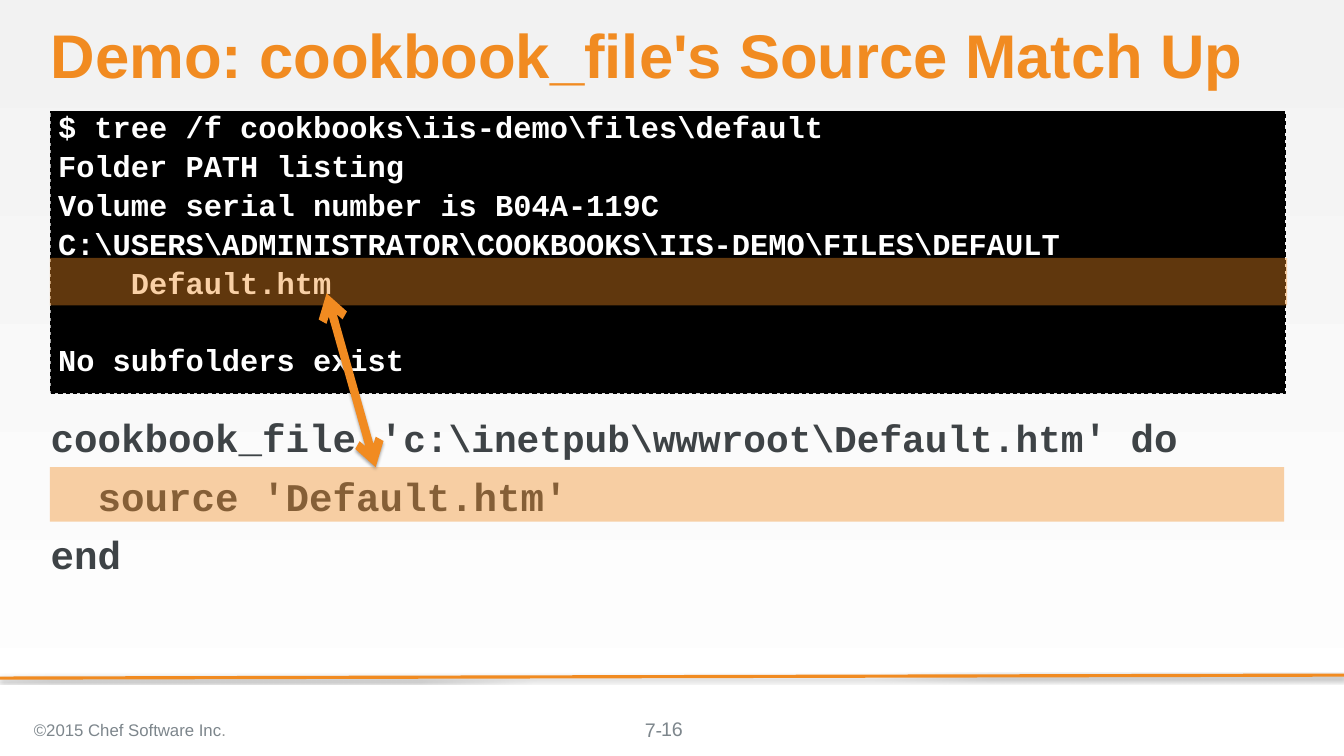
from lxml import etree
from pptx import Presentation
from pptx.dml.color import RGBColor
from pptx.enum import dml, shapes, text
from pptx.oxml import ns
from pptx.util import Inches, Pt

ORANGE = RGBColor(0xF1, 0x8B, 0x21)
BLACK = RGBColor(0, 0, 0)
WHITE = RGBColor(0xFF, 0xFF, 0xFF)
PALE_GRAY = RGBColor(0xF2, 0xF2, 0xF2)
CODE_GRAY = RGBColor(0x3E, 0x43, 0x46)
FOOTER_GRAY = RGBColor(0x7D, 0x86, 0x8C)
PERIOD_GRAY = RGBColor(0x92, 0x94, 0x94)
SANS, MONO = "Arial", "Courier New"

# A paragraph is a list of runs: (text, size, colour)
TITLE = [[("Demo: cookbook_file's Source Match Up", 58.7, ORANGE)]]
TERMINAL_LINES = [
    r"$ tree /f cookbooks\iis-demo\files\default",
    "Folder PATH listing",
    "Volume serial number is B04A-119C",
    r"C:\USERS\ADMINISTRATOR\COOKBOOKS\IIS-DEMO\FILES\DEFAULT",
    "    Default.htm",
    "No subfolders exist",
]
TERMINAL = [[(line, 28.9, WHITE)] for line in TERMINAL_LINES]
RECIPE = [
    [("cookbook_file '", 37.3, CODE_GRAY),
     (r"c:\inetpub\wwwroot\Default.htm", 36, CODE_GRAY),
     ("' do", 37.3, CODE_GRAY)],
    [("  source 'Default.htm'", 37.3, CODE_GRAY)],
    [("end", 37.3, CODE_GRAY)],
]
COPYRIGHT = [[("©2015 Chef Software Inc", 16, FOOTER_GRAY), (".", 16, PERIOD_GRAY)]]
CHAPTER = [[("7-", 18.7, FOOTER_GRAY)]]
PAGE = [[("16", 18.7, FOOTER_GRAY)]]

LEFT, WIDTH = 0.67, 16.33
TERMINAL_GAP = 9.5
BLANK_LINE_GAP = 45.2
RECIPE_GAP = 11
HIGHLIGHTS = [(0.66, 3.41, 16.37, 0.63), (0.66, 6.18, 16.33, 0.72)]


def write(shape, paragraphs, font=SANS, bold=False, gap=0, line_spacing=None,
          align=text.PP_ALIGN.LEFT, anchor=text.MSO_ANCHOR.TOP, inset=True):
    frame = shape.text_frame
    frame.word_wrap = True
    frame.auto_size = text.MSO_AUTO_SIZE.NONE
    frame.vertical_anchor = anchor
    side, edge = (0.1, 0.05) if inset else (0, 0)
    frame.margin_left = frame.margin_right = Inches(side)
    frame.margin_top = frame.margin_bottom = Inches(edge)
    for index, runs in enumerate(paragraphs):
        paragraph = frame.add_paragraph() if index else frame.paragraphs[0]
        paragraph.alignment = align
        paragraph.space_before = Pt(gap if index else 0)
        if line_spacing:
            paragraph.line_spacing = line_spacing
        for content, size, color in runs:
            run = paragraph.add_run()
            run.text = content
            run.font.name, run.font.size, run.font.bold = font, Pt(size), bold
            run.font.color.rgb = color
    return frame


def add_rectangle(slide, box, color):
    shape = slide.shapes.add_shape(shapes.MSO_SHAPE.RECTANGLE, *map(Inches, box))
    shape.shadow.inherit = False
    shape.fill.solid()
    shape.fill.fore_color.rgb = color
    shape.line.fill.background()
    return shape


def add_text_box(slide, box):
    return slide.shapes.add_textbox(*map(Inches, box))


def add_shadowed_line(slide, start, end, width, arrows=False):
    line = slide.shapes.add_connector(
        shapes.MSO_CONNECTOR.STRAIGHT, *map(Inches, start + end))
    line.line.color.rgb = ORANGE
    line.line.width = Pt(width)
    properties = line.element.spPr
    if arrows:
        outline = properties.find(ns.qn("a:ln"))
        for tag in ("a:headEnd", "a:tailEnd"):
            etree.SubElement(outline, ns.qn(tag), type="arrow")
    effects = etree.SubElement(properties, ns.qn("a:effectLst"))
    shadow = etree.SubElement(
        effects, ns.qn("a:outerShdw"), blurRad=str(Pt(3.1)), dist=str(Pt(1.8)),
        dir="5400000", rotWithShape="0")
    color = etree.SubElement(shadow, ns.qn("a:srgbClr"), val=str(BLACK))
    etree.SubElement(color, ns.qn("a:alpha"), val="35000")


def add_highlight(slide, box):
    shape = add_rectangle(slide, box, ORANGE)
    color = shape.element.spPr.find(ns.qn("a:solidFill"))[0]
    etree.SubElement(color, ns.qn("a:alpha"), val="40000")


def main():
    presentation = Presentation()
    presentation.slide_width, presentation.slide_height = Inches(17.78), Inches(10)
    slide = presentation.slides.add_slide(presentation.slide_layouts[5])

    background = slide.background.fill
    background.gradient()
    background.gradient_angle = 270
    for stop, color in zip(background.gradient_stops, (PALE_GRAY, WHITE)):
        stop.color.rgb = color

    title = slide.shapes.title
    title.left, title.top = Inches(LEFT), Inches(0.33)
    title.width, title.height = Inches(WIDTH), Inches(0.91)
    write(title, TITLE, bold=True, line_spacing=0.9, inset=False)

    add_shadowed_line(slide, (17.78, 8.93), (0, 8.97), 3)

    terminal = add_rectangle(slide, (LEFT, 1.47, WIDTH, 3.73), BLACK)
    terminal.line.color.rgb = BLACK
    terminal.line.width = Pt(1)
    terminal.line.dash_style = dml.MSO_LINE.DASH
    frame = write(terminal, TERMINAL, MONO, True, TERMINAL_GAP, 0.8)
    frame.paragraphs[-1].space_before = Pt(BLANK_LINE_GAP)

    recipe = add_text_box(slide, (LEFT, 5.47, WIDTH, 3.73))
    write(recipe, RECIPE, MONO, True, RECIPE_GAP, inset=False)

    add_shadowed_line(slide, (4.32, 3.88), (4.97, 6.18), 8, arrows=True)
    for box in HIGHLIGHTS:
        add_highlight(slide, box)

    middle = text.MSO_ANCHOR.MIDDLE
    write(add_text_box(slide, (0.35, 9.38, 6.21, 0.56)), COPYRIGHT, anchor=middle)
    chapter = write(add_text_box(slide, (8.49, 9.49, 0.8, 0.31)), CHAPTER, inset=False)
    chapter.margin_left = Inches(0.04)
    write(add_text_box(slide, (6.89, 9.38, 4, 0.53)), PAGE,
          align=text.PP_ALIGN.CENTER, anchor=middle)

    presentation.save("out.pptx")


if __name__ == "__main__":
    main()
